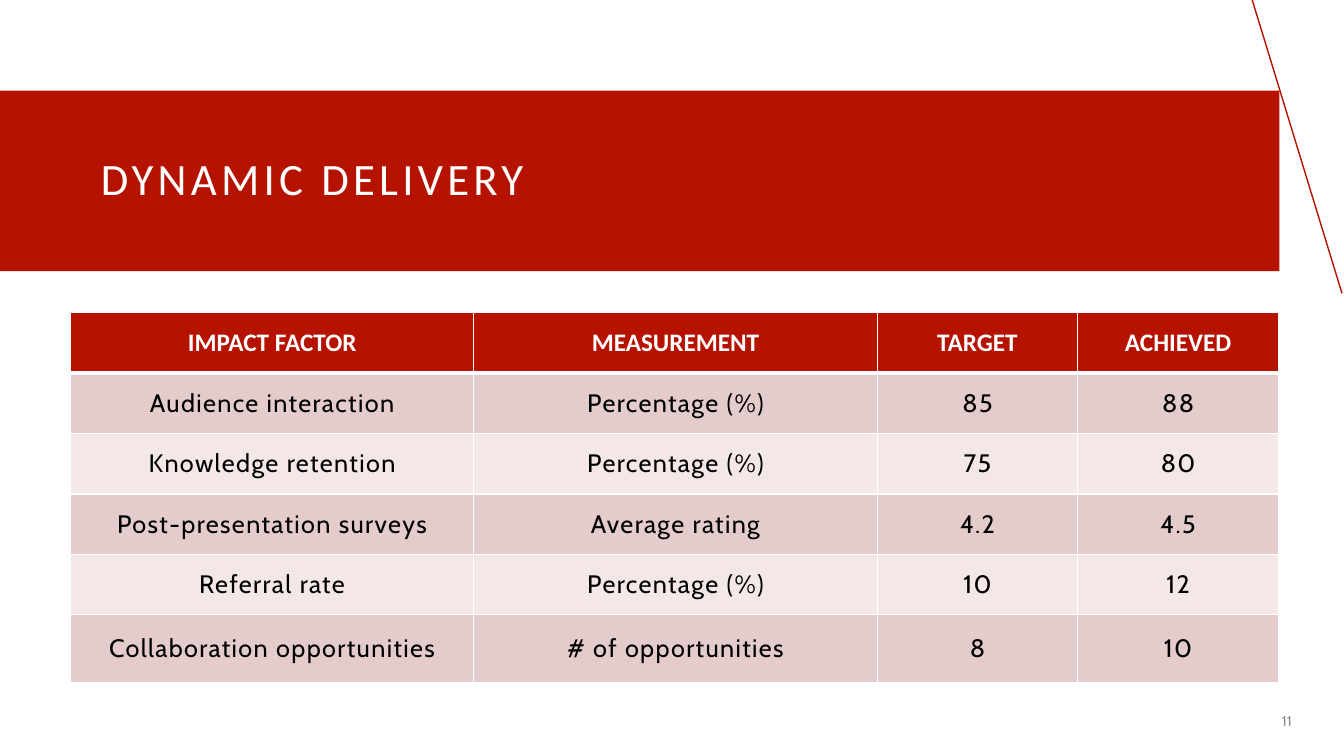
from typing import NamedTuple

import lxml.etree
import pptx
import pptx.dml.color
import pptx.enum.shapes
import pptx.enum.text
import pptx.oxml.ns
import pptx.slide
import pptx.table
import pptx.text.text
import pptx.util

Inches = pptx.util.Inches
RGBColor = pptx.dml.color.RGBColor
Align = pptx.enum.text.PP_ALIGN
MIDDLE = pptx.enum.text.MSO_ANCHOR.MIDDLE
qn = pptx.oxml.ns.qn

RED = RGBColor(0xB5, 0x12, 0x00)
WHITE = RGBColor(0xFF, 0xFF, 0xFF)
BLACK = RGBColor(0x00, 0x00, 0x00)
GRAY = RGBColor(0x89, 0x89, 0x89)
ROSE = RGBColor(0xE5, 0xCC, 0xCC)
PALE_ROSE = RGBColor(0xF3, 0xE7, 0xE7)


class TextStyle(NamedTuple):
    font: str
    size: float
    color: RGBColor
    align: Align = Align.CENTER
    bold: bool = False
    spacing: float = 0


class ImpactFactor(NamedTuple):
    name: str
    measurement: str
    target: str
    achieved: str


TITLE_STYLE = TextStyle("Calibri", 32, WHITE, Align.LEFT, spacing=3)
NUMBER_STYLE = TextStyle("Cabin", 10, GRAY, Align.RIGHT)
HEADER_STYLE = TextStyle("Calibri", 18, WHITE, bold=True)
BODY_STYLE = TextStyle("Cabin", 18, BLACK, spacing=1)

TABLE_ROWS = [
    ImpactFactor("IMPACT FACTOR", "MEASUREMENT", "TARGET", "ACHIEVED"),
    ImpactFactor("Audience interaction", "Percentage (%)", "85", "88"),
    ImpactFactor("Knowledge retention", "Percentage (%)", "75", "80"),
    ImpactFactor("Post-presentation surveys", "Average rating", "4.2", "4.5"),
    ImpactFactor("Referral rate", "Percentage (%)", "10", "12"),
    ImpactFactor("Collaboration opportunities", "# of opportunities", "8", "10"),
]
COLUMN_WIDTHS = [4, 4, 1.99, 1.99]
ROW_HEIGHTS = [0.6] * 5 + [0.67]


def write_text(frame: pptx.text.text.TextFrame, text: str, style: TextStyle) -> None:
    paragraph = frame.paragraphs[0]
    paragraph.alignment = style.align
    run = paragraph.add_run()
    run.text = text
    run.font.name = style.font
    run.font.size = pptx.util.Pt(style.size)
    run.font.bold = style.bold
    run.font.color.rgb = style.color
    if style.spacing:
        run.font._element.set("spc", str(round(style.spacing * 100)))


def add_border(cell: pptx.table._Cell, side: str, points: float) -> None:
    """Give one side (L, R, T or B) of a cell a white line."""
    properties = cell._tc.get_or_add_tcPr()
    line = lxml.etree.SubElement(properties, qn(f"a:ln{side}"), w=str(pptx.util.Pt(points)))
    fill = lxml.etree.SubElement(line, qn("a:solidFill"))
    lxml.etree.SubElement(fill, qn("a:srgbClr"), val=str(WHITE))


def add_slanted_line(slide: pptx.slide.Slide) -> None:
    line = slide.shapes.add_connector(
        pptx.enum.shapes.MSO_CONNECTOR.STRAIGHT,
        Inches(12.42), Inches(0), Inches(13.31), Inches(2.91),
    )
    line.line.color.rgb = RED
    line.line.width = pptx.util.Pt(1)
    lxml.etree.SubElement(line._element.spPr, qn("a:effectLst"))


def format_title(slide: pptx.slide.Slide) -> None:
    title = slide.shapes.title
    title.left, title.top = Inches(0), Inches(0.9)
    title.width, title.height = Inches(12.69), Inches(1.79)
    title.fill.solid()
    title.fill.fore_color.rgb = RED
    frame = title.text_frame
    frame.auto_size = pptx.enum.text.MSO_AUTO_SIZE.NONE
    frame.vertical_anchor = MIDDLE
    frame.margin_left = Inches(1)
    write_text(frame, "DYNAMIC DELIVERY", TITLE_STYLE)
    frame.paragraphs[0].line_spacing = 0.9


def add_slide_number(slide: pptx.slide.Slide) -> None:
    box = slide.shapes.add_textbox(Inches(11.23), Inches(6.95), Inches(1.68), Inches(0.4))
    box.text_frame.word_wrap = True
    box.text_frame.vertical_anchor = MIDDLE
    write_text(box.text_frame, "11", NUMBER_STYLE)


def add_impact_table(slide: pptx.slide.Slide) -> None:
    table = slide.shapes.add_table(
        len(TABLE_ROWS), len(COLUMN_WIDTHS), Inches(0.7), Inches(3.1),
        Inches(sum(COLUMN_WIDTHS)), Inches(sum(ROW_HEIGHTS)),
    ).table
    for column, width in zip(table.columns, COLUMN_WIDTHS):
        column.width = Inches(width)
    for row_index, (factor, height) in enumerate(zip(TABLE_ROWS, ROW_HEIGHTS)):
        table.rows[row_index].height = Inches(height)
        is_header = row_index == 0
        band = RED if is_header else ROSE if row_index % 2 else PALE_ROSE
        borders = {"L": 1, "R": 1, "T": 3 if row_index == 1 else 1, "B": 3 if is_header else 1}
        for column_index, text in enumerate(factor):
            cell = table.cell(row_index, column_index)
            cell.vertical_anchor = MIDDLE
            for side, points in borders.items():
                add_border(cell, side, points)
            cell.fill.solid()
            cell.fill.fore_color.rgb = band
            write_text(cell.text_frame, text, HEADER_STYLE if is_header else BODY_STYLE)


def main() -> None:
    presentation = pptx.Presentation()
    presentation.slide_width = Inches(13.33)
    presentation.slide_height = Inches(7.5)
    title_only = presentation.slide_layouts.get_by_name("Title Only")
    slide = presentation.slides.add_slide(title_only)
    add_slanted_line(slide)
    format_title(slide)
    add_slide_number(slide)
    add_impact_table(slide)
    presentation.save("out.pptx")


if __name__ == "__main__":
    main()
